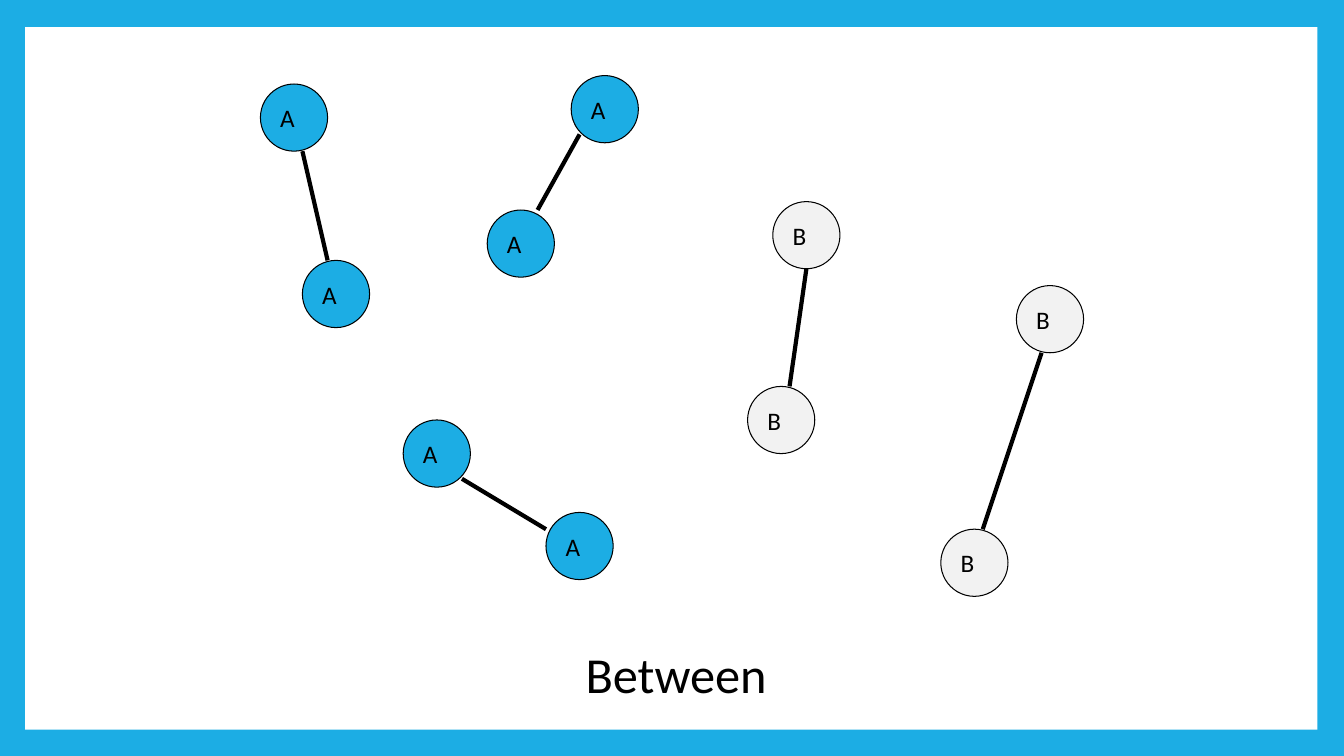
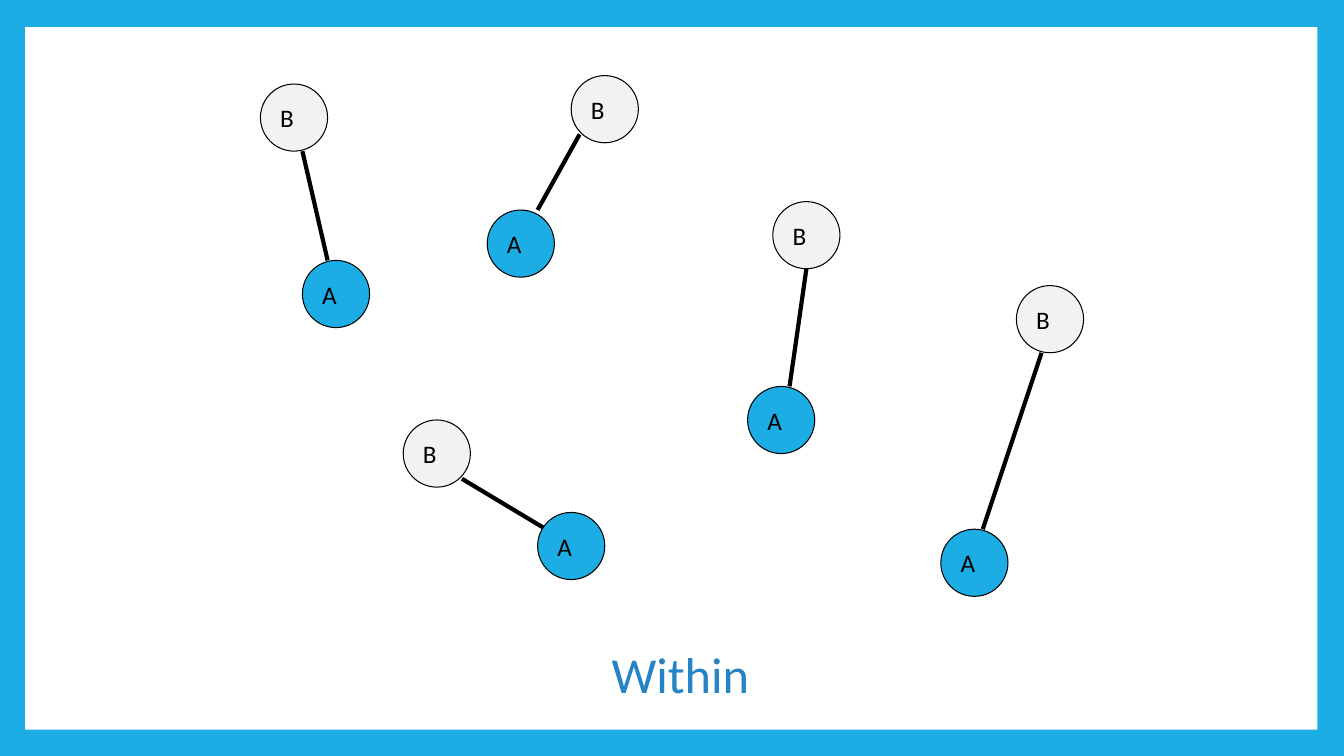
from lxml import etree
from pptx import Presentation
from pptx.dml.color import RGBColor
from pptx.enum.shapes import MSO_CONNECTOR, MSO_SHAPE
from pptx.enum.text import MSO_ANCHOR, PP_ALIGN
from pptx.oxml.ns import qn
from pptx.util import Inches, Pt

RECT, OVAL = MSO_SHAPE.RECTANGLE, MSO_SHAPE.OVAL
STRAIGHT = MSO_CONNECTOR.STRAIGHT
LEFT, CENTER = PP_ALIGN.LEFT, PP_ALIGN.CENTER
TOP, MIDDLE = MSO_ANCHOR.TOP, MSO_ANCHOR.MIDDLE

COLS, ROWS = 160, 90
UNIT = Inches(1) / 12
NODE = 8
FONT = "Calibri"
COLORS = {
    "blue": "1CADE4",
    "title_blue": "2683C6",
    "gray": "F2F2F2",
    "white": "FFFFFF",
    "black": "000000",
}
GROUP_FILL = {"A": "blue", "B": "gray"}

UPPER_NODES = [(92, 24), (48, 50), (121, 34), (31, 10), (68, 9)]
LOWER_NODES = [(94 - 5, 46), (65, 61), (112, 63), (36, 31), (58, 25)]
LINKS = [
    ((96, 32), (94, 46)),
    ((55, 57), (65, 63)),
    ((124, 42), (117, 63)),
    ((36, 18), (39, 31)),
    ((69, 16), (64, 25)),
]


def grid(*units):
    return [round(u * UNIT) for u in units]


def rgb(name):
    return RGBColor.from_string(COLORS[name])


def write(sp, text, size=18, color="black", align=LEFT, anchor=MIDDLE):
    tf = sp.text_frame
    tf.word_wrap = False
    tf.vertical_anchor = anchor
    p = tf.paragraphs[0]
    p.alignment = align
    r = p.add_run()
    r.text = text
    r.font.name = FONT
    r.font.size = Pt(size)
    r.font.color.rgb = rgb(color)


class Deck:
    def __init__(self):
        self.prs = Presentation()
        self.prs.slide_width, self.prs.slide_height = grid(COLS, ROWS)
        self.s = None

    def slide(self):
        self.s = self.prs.slides.add_slide(self.prs.slide_layouts[6])
        fill = self.s.background.fill
        fill.solid()
        fill.fore_color.rgb = rgb("blue")
        self.shape(RECT, 3, 3.24, 153.84, 83.64, "white")

    def shape(self, kind, x, y, w, h, fill, line=None):
        sp = self.s.shapes.add_shape(kind, *grid(x, y, w, h))
        sp.shadow.inherit = False
        sp.fill.solid()
        sp.fill.fore_color.rgb = rgb(fill)
        if line:
            sp.line.color.rgb = rgb(line)
            sp.line.width = Pt(0.75)
        else:
            sp.line.fill.background()
        return sp

    def node(self, group, x, y):
        sp = self.shape(OVAL, x, y, NODE, NODE, GROUP_FILL[group], "black")
        write(sp, group)

    def link(self, start, end):
        cx = self.s.shapes.add_connector(STRAIGHT, *grid(*start, *end))
        cx.line.color.rgb = rgb("black")
        cx.line.width = Pt(3)
        etree.SubElement(cx._element.spPr, qn("a:effectLst"))

    def title(self, text, x, w, color):
        sp = self.s.shapes.add_textbox(*grid(x, 76, w, 9))
        write(sp, text, size=36, color=color, align=CENTER, anchor=TOP)

    def pairs(self, upper_groups, lower_groups, lower_nodes):
        for group, at in zip(upper_groups, UPPER_NODES):
            self.node(group, *at)
        for start, end in LINKS:
            self.link(start, end)
        for group, at in zip(lower_groups, lower_nodes):
            self.node(group, *at)


def main():
    deck = Deck()

    deck.slide()
    deck.pairs("BABAA", "BABAA", LOWER_NODES)
    deck.title("Between", 61, 39, "black")

    deck.slide()
    shifted = [(64, 61) if at == (65, 61) else at for at in LOWER_NODES]
    deck.pairs("BBBBB", "AAAAA", shifted)
    deck.title("Within", 64, 34, "title_blue")

    deck.prs.save("out.pptx")


if __name__ == "__main__":
    main()
